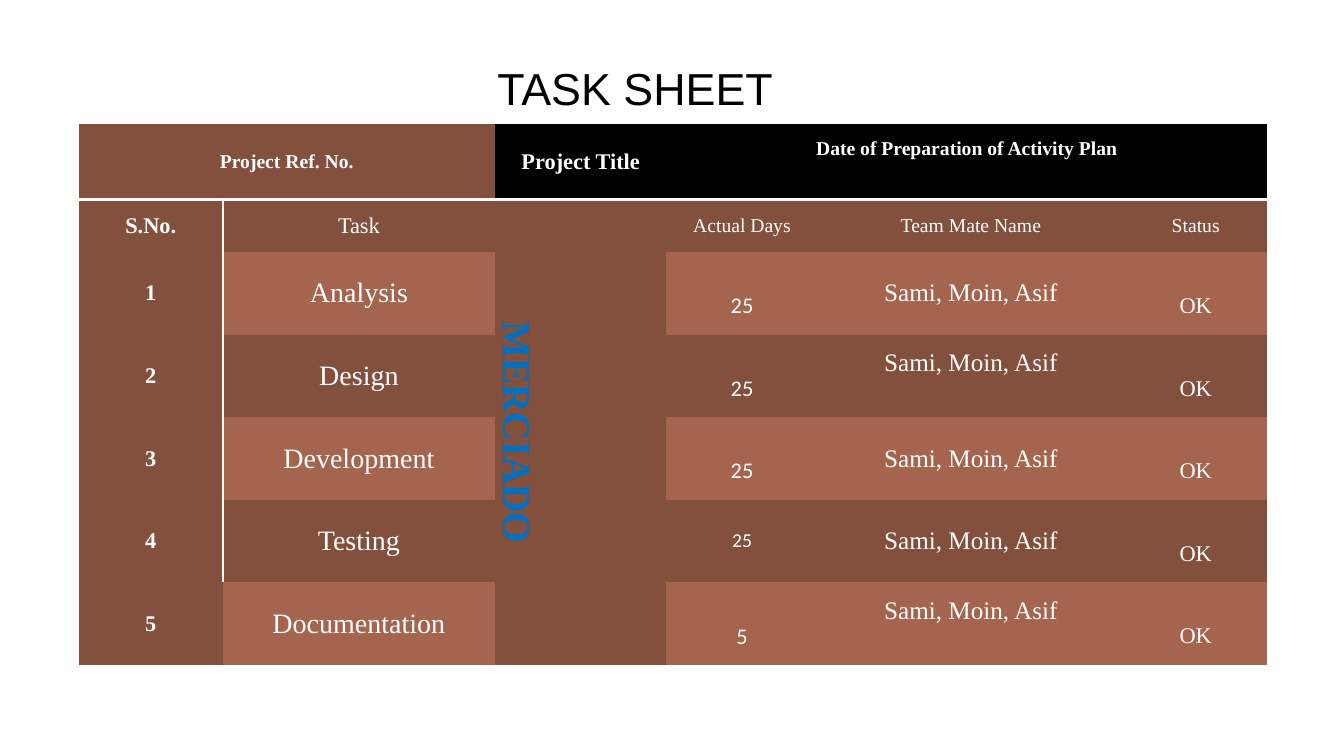
from lxml.etree import SubElement as Sub
from pptx import Presentation as Deck
from pptx.dml.color import RGBColor as Color
from pptx.enum.text import MSO_ANCHOR as Anchor, PP_ALIGN as Align
from pptx.oxml.ns import qn
from pptx.util import Inches, Pt

WHITE = Color(0xFF, 0xFF, 0xFF)
BLACK = Color(0, 0, 0)
BROWN = Color(0x84, 0x50, 0x3E)
CLAY = Color(0xA5, 0x64, 0x4E)
BLUE = Color(0, 0x70, 0xC0)
PLAIN = "{2D5ABB26-0587-4C30-8999-92F81FD0307C}"
DROP = 0.25
COLS = [1.43, 2.7, 1.7, 1.5, 3.04, 1.42]
ROWS = [0.75, 0.52] + [0.82] * 5
TASKS = [
    ("Analysis", "25", dict(size=16, top=DROP), 0),
    ("Design", "25", dict(size=16, top=DROP), DROP),
    ("Development", "25", dict(size=16, top=DROP), 0),
    ("Testing", "25", dict(size=14), 0),
    ("Documentation", "5", dict(size=16, top=DROP), DROP),
]


def write(frame, text, size=16, bold=False, color=WHITE, face="Times New Roman"):
    """Put one centred line of text into a frame."""
    line = frame.paragraphs[0]
    line.alignment = Align.CENTER
    run = line.add_run()
    run.text = text
    font = run.font
    font.size, font.bold, font.name = Pt(size), bold, face
    font.color.rgb = color


class Sheet:
    """Draw the parts of the task sheet on one slide."""

    def __init__(self, deck):
        self.slide = deck.slides.add_slide(deck.slide_layouts[6])

    def title(self, text, x, y, w, h):
        """Add the heading."""
        frame = self.slide.shapes.add_textbox(
            Inches(x), Inches(y), Inches(w), Inches(h)).text_frame
        frame.word_wrap = True
        write(frame, text, size=32, color=BLACK, face="Arial")

    def table(self, x, y):
        """Add the empty grid with its fills and rules."""
        shape = self.slide.shapes.add_table(
            len(ROWS), len(COLS), Inches(x), Inches(y),
            Inches(sum(COLS)), Inches(sum(ROWS)))
        self.grid = shape.table
        self.grid._tbl.tblPr.find(qn("a:tableStyleId")).text = PLAIN
        for col, width in zip(self.grid.columns, COLS):
            col.width = Inches(width)
        for row, height in zip(self.grid.rows, ROWS):
            row.height = Inches(height)
        for r in range(len(ROWS)):
            for c in range(len(COLS)):
                cell = self.grid.cell(r, c)
                light = r > 1 and r % 2 == 0 and c not in (0, 2)
                dark = r == 0 and c > 1
                cell.fill.solid()
                cell.fill.fore_color.rgb = CLAY if light else BLACK if dark else BROWN
                if r == 0:
                    self.rule(cell, "a:lnB")
                elif c == 0 and r < len(ROWS) - 1:
                    self.rule(cell, "a:lnR")

    def rule(self, cell, side):
        """Draw a white rule on one side of a cell."""
        props = cell._tc.get_or_add_tcPr()
        line = Sub(props, qn(side), w=str(Pt(2)))
        Sub(Sub(line, qn("a:solidFill")), qn("a:srgbClr"), val=str(WHITE))
        props.insert(0, line)

    def cell(self, r, c, text, top=0, low=0, **style):
        """Fill one cell with text."""
        cell = self.grid.cell(r, c)
        cell.vertical_anchor = Anchor.MIDDLE
        cell.margin_left = cell.margin_right = Inches(0.07)
        cell.margin_top, cell.margin_bottom = Inches(top), Inches(low)
        write(cell.text_frame, text, **style)

    def merge(self, r, c, end, last):
        """Join a block of cells."""
        self.grid.cell(r, c).merge(self.grid.cell(end, last))


def main():
    """Build and save the slide."""
    deck = Deck()
    deck.slide_width, deck.slide_height = Inches(13.33), Inches(7.5)
    sheet = Sheet(deck)
    sheet.title("TASK SHEET", 2.04, 0.55, 8.52, 0.64)
    sheet.table(0.78, 1.23)
    sheet.merge(0, 0, 0, 1)
    sheet.merge(0, 3, 0, 5)
    sheet.merge(1, 2, 6, 2)
    sheet.cell(0, 0, "Project Ref. No.", size=14, bold=True)
    sheet.cell(0, 2, "Project Title", bold=True)
    sheet.cell(0, 3, "Date of Preparation of Activity Plan", size=14, bold=True, low=DROP)
    sheet.cell(1, 0, "S.No.", bold=True)
    sheet.cell(1, 1, "Task")
    sheet.cell(1, 2, "MERCIADO", size=28, bold=True, color=BLUE)
    sheet.grid.cell(1, 2)._tc.tcPr.set("vert", "vert")
    for c, name in enumerate(("Actual Days", "Team Mate Name", "Status"), 3):
        sheet.cell(1, c, name, size=14)
    for i, (task, days, look, low) in enumerate(TASKS, 1):
        r = i + 1
        sheet.cell(r, 0, str(i), bold=True)
        sheet.cell(r, 1, task, size=20)
        sheet.cell(r, 3, days, face="Calibri", **look)
        sheet.cell(r, 4, "Sami, Moin, Asif", size=18, low=low)
        sheet.cell(r, 5, "OK", top=DROP)
    deck.save("out.pptx")


if __name__ == "__main__":
    main()
